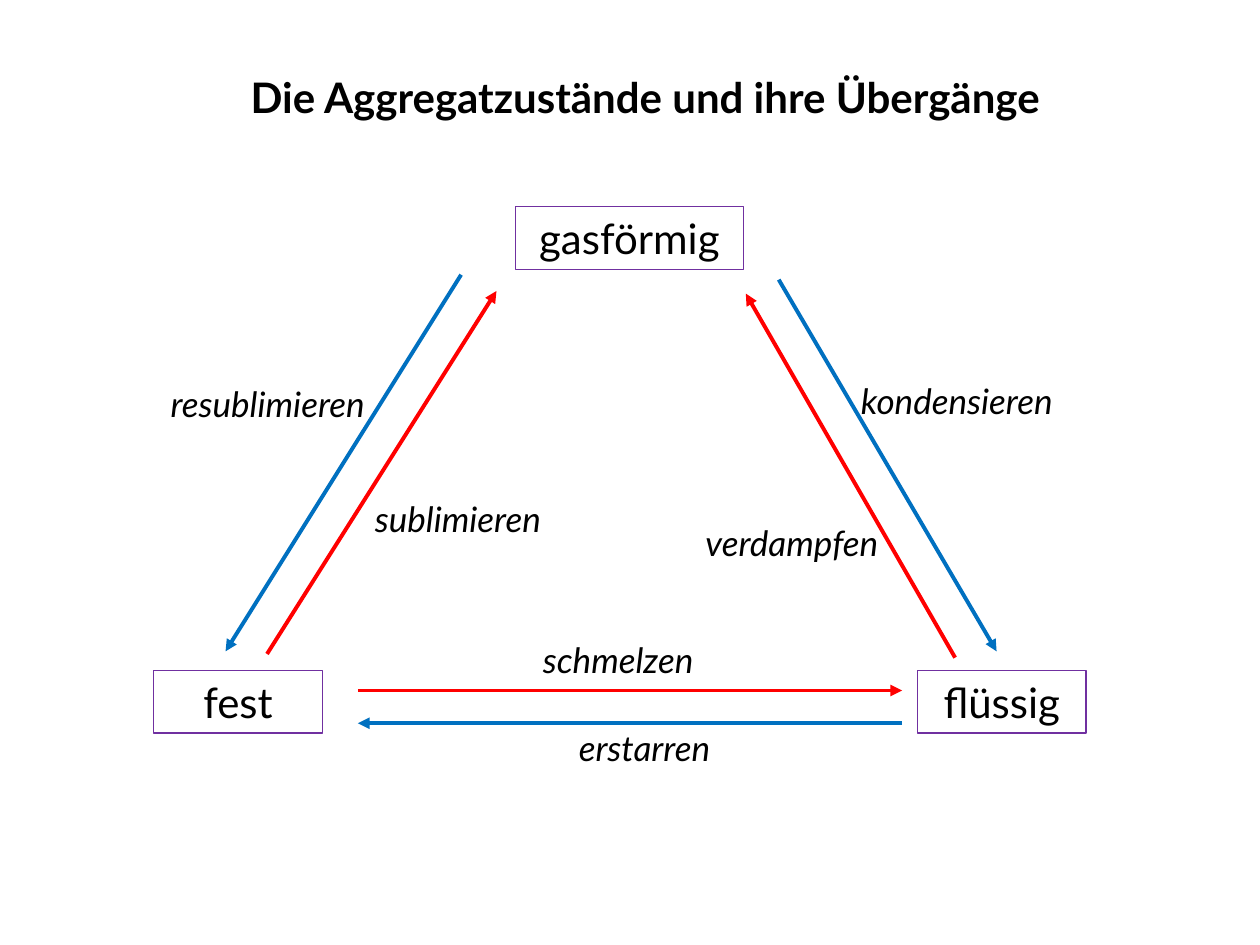
from lxml import etree
from pptx import Presentation
from pptx import util as u
from pptx.dml.color import RGBColor
from pptx.enum import shapes, text
from pptx.oxml.ns import qn


def rgb(value):
    return RGBColor.from_string(value)


class Diagram:
    """Draws boxes, labels and arrows on one slide in a shared style."""

    font = "Lato"
    ink = "000000"
    frame = "7030A0"
    heating = "FF0000"
    cooling = "0070C0"

    def __init__(self, slide):
        self.s = slide

    def put_text(self, sp, words, size, align, bold=False, italic=False):
        tf = sp.text_frame
        tf.word_wrap = True
        tf.vertical_anchor = text.MSO_ANCHOR.TOP
        p = tf.paragraphs[0]
        p.alignment = align
        r = p.add_run()
        r.text = words
        r.font.name = self.font
        r.font.size = u.Pt(size)
        r.font.bold = bold
        r.font.italic = italic
        r.font.color.rgb = rgb(self.ink)

    def textbox(self, x, y, w, h):
        return self.s.shapes.add_textbox(u.Pt(x), u.Pt(y), u.Pt(w), u.Pt(h))

    def title(self, words, x, y, w, h):
        self.put_text(self.textbox(x, y, w, h), words, 24, text.PP_ALIGN.LEFT, bold=True)

    def label(self, words, x, y, w=147.6, h=31.7):
        self.put_text(self.textbox(x, y, w, h), words, 20, text.PP_ALIGN.CENTER, italic=True)

    def state(self, words, x, y, w, h=36):
        sp = self.s.shapes.add_shape(
            shapes.MSO_SHAPE.RECTANGLE, u.Pt(x), u.Pt(y), u.Pt(w), u.Pt(h))
        sp.shadow.inherit = False
        sp.fill.background()
        sp.line.color.rgb = rgb(self.frame)
        sp.line.width = u.Pt(0.75)
        self.put_text(sp, words, 24, text.PP_ALIGN.CENTER)

    def arrow(self, color, x1, y1, x2, y2):
        c = self.s.shapes.add_connector(
            shapes.MSO_CONNECTOR.STRAIGHT, u.Pt(x1), u.Pt(y1), u.Pt(x2), u.Pt(y2))
        c.line.color.rgb = rgb(color)
        c.line.width = u.Pt(2.25)
        props = c.element.spPr
        etree.SubElement(props.find(qn("a:ln")), qn("a:tailEnd"), type="triangle")
        etree.SubElement(props, qn("a:effectLst"))


def main():
    prs = Presentation()
    prs.slide_width, prs.slide_height = u.Pt(720), u.Pt(540)
    d = Diagram(prs.slides.add_slide(prs.slide_layouts[6]))

    for state in (
        ("fest", 87.8, 383, 96.5),
        ("flüssig", 524.2, 383, 96.5),
        ("gasförmig", 294.5, 118.1, 130.3),
    ):
        d.state(*state)

    for arrow in (
        (d.heating, 152.6, 373.7, 283.7, 166.3),
        (d.cooling, 263.5, 157, 128.9, 372.2),
        (d.heating, 545.8, 375.8, 426.2, 167.8),
        (d.cooling, 445, 159.8, 569.5, 372.2),
        (d.heating, 204.5, 394.6, 515.5, 394.6),
        (d.cooling, 515.5, 413.3, 204.5, 413.3),
    ):
        d.arrow(*arrow)

    for label in (
        ("resublimieren", 79.2, 215.3),
        ("sublimieren", 187.9, 280.8),
        ("verdampfen", 378.7, 294.5),
        ("kondensieren", 473, 213.1),
        ("schmelzen", 279.4, 361.4),
        ("erstarren", 294.5, 411.8),
    ):
        d.label(*label)

    d.title("Die Aggregatzustände und ihre Übergänge", 136.1, 37.4, 475.9, 64.8)
    prs.save("out.pptx")


if __name__ == "__main__":
    main()
